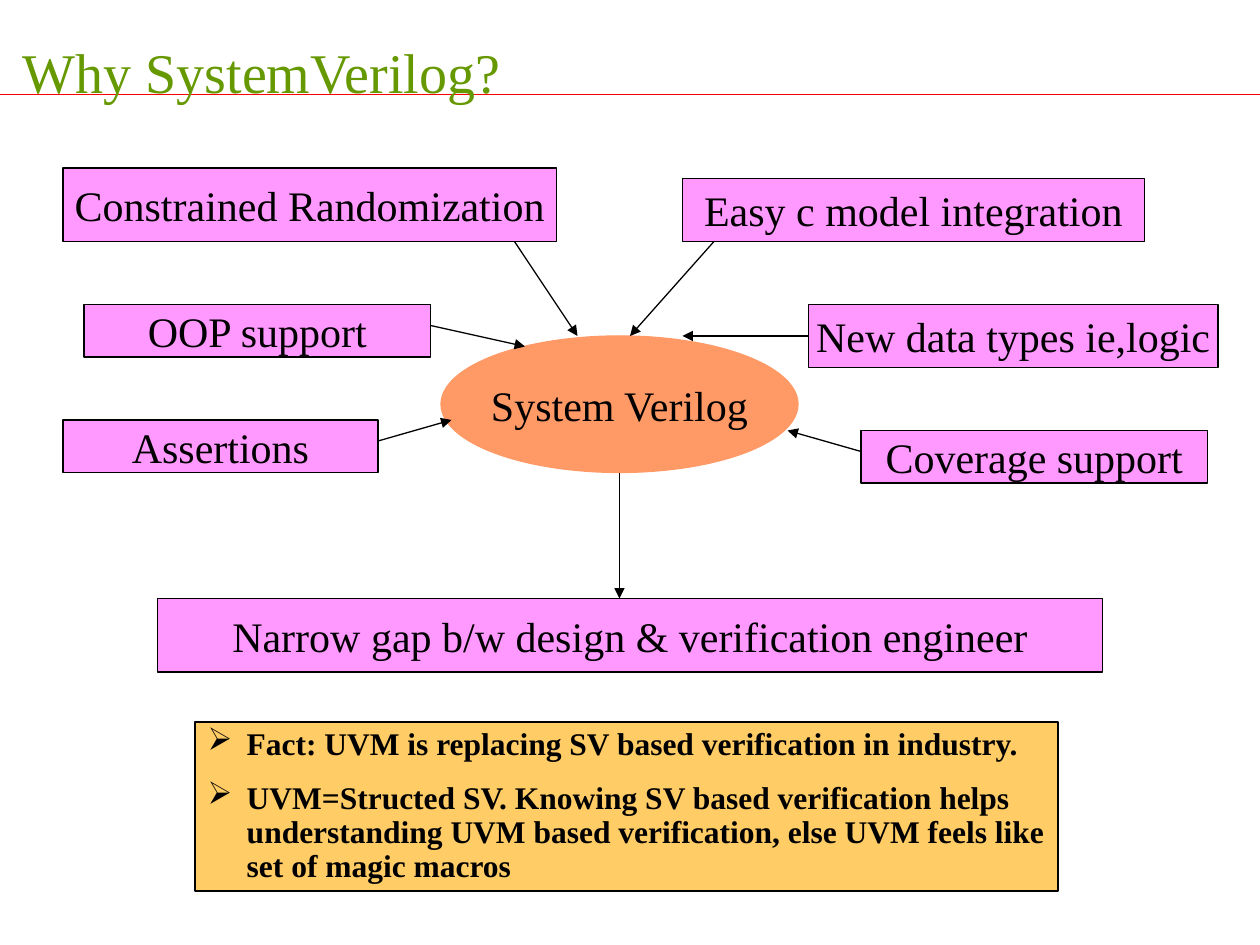
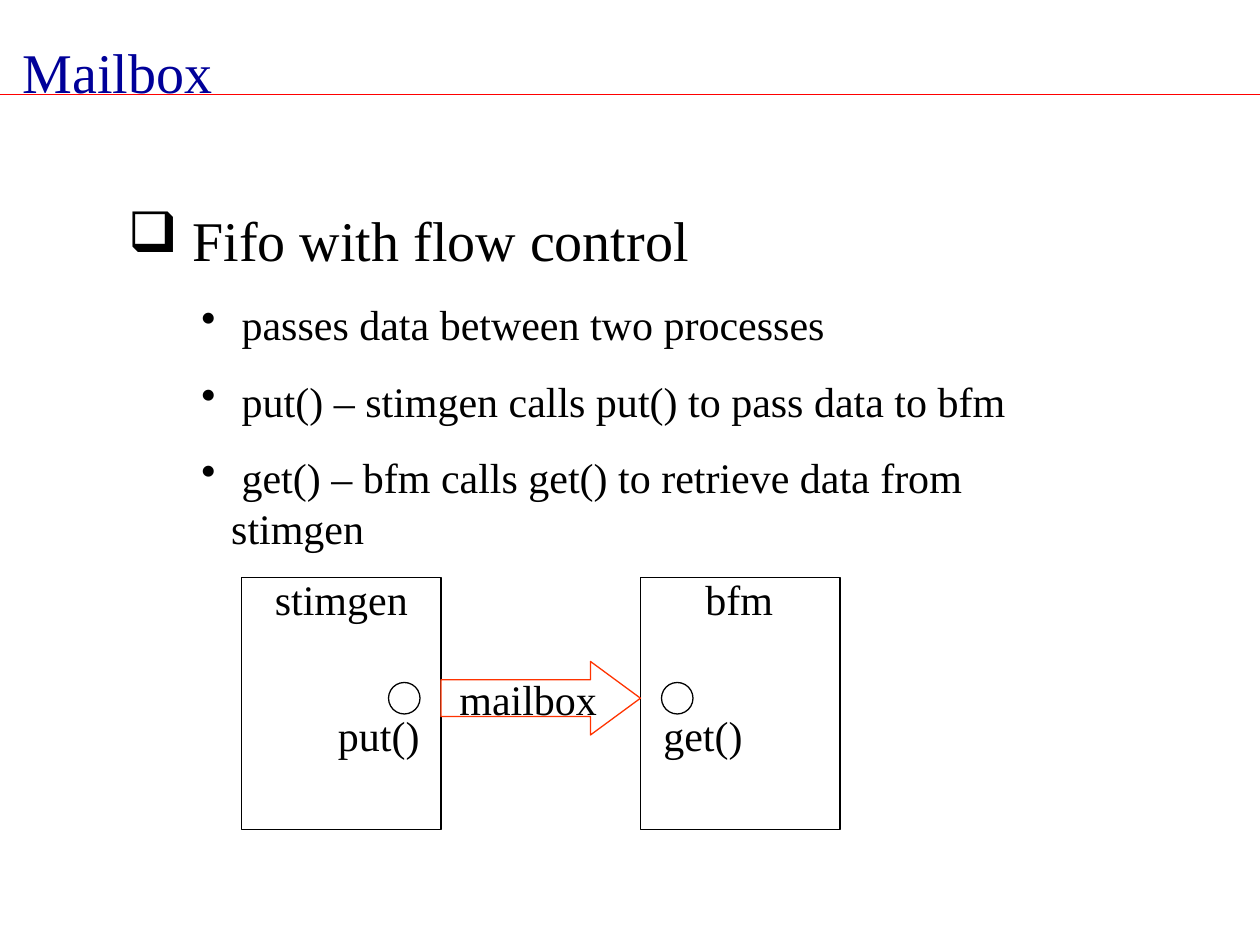
import lxml.etree
import pptx
import pptx.dml.color
import pptx.enum.shapes
import pptx.enum.text
import pptx.oxml.ns
import pptx.util

Pt = pptx.util.Pt
Shape = pptx.enum.shapes.MSO_SHAPE
Align = pptx.enum.text.PP_ALIGN
Anchor = pptx.enum.text.MSO_ANCHOR
qn = pptx.oxml.ns.qn

FONT = "Times New Roman"
BLACK, WHITE, RED = "000000", "FFFFFF", "FF0000"
PINK, ORANGE, GOLD = "FF99FF", "FF9966", "FFCC66"
GREEN, NAVY, FLAME = "669900", "000099", "FF3300"


def tint(color, code):
    color.rgb = pptx.dml.color.RGBColor.from_string(code)


def write(frame, lines, size=24, code=BLACK, bold=False, gap=0, align=Align.LEFT,
          wrap=True, mark=None, hang=0, pitch=None):
    """Fill a text frame, one paragraph per line, with optional bullets."""
    frame.text = "\n".join(lines)
    frame.word_wrap = wrap
    for index, para in enumerate(frame.paragraphs):
        if mark:
            props = para._p.get_or_add_pPr()
            props.set("marL", str(Pt(hang)))
            props.set("indent", str(-Pt(hang)))
            lxml.etree.SubElement(props, qn("a:buChar"), char=mark)
        para.alignment = align
        if pitch:
            para.line_spacing = pitch
        if index:
            para.space_before = Pt(gap)
        for run in para.runs:
            run.font.name = FONT
            run.font.size = Pt(size)
            run.font.bold = bold
            tint(run.font.color, code)


def label(slide, box, lines, **style):
    area = slide.shapes.add_textbox(*map(Pt, box))
    write(area.text_frame, lines, **style)


def block(slide, kind, box, fill, edge=BLACK, text=None, width=0.75):
    """Draw a preset shape with centred text on one line."""
    item = slide.shapes.add_shape(kind, *map(Pt, box))
    item.shadow.inherit = False
    item.fill.solid()
    tint(item.fill.fore_color, fill)
    tint(item.line.color, edge)
    item.line.width = Pt(width)
    if text:
        item.text_frame.vertical_anchor = Anchor.MIDDLE
        write(item.text_frame, [text], align=Align.CENTER, wrap=False)
    return item


def link(slide, start, end, code=BLACK, head=True):
    """Draw a straight line, with an arrowhead at its end if wanted."""
    line = slide.shapes.add_connector(
        pptx.enum.shapes.MSO_CONNECTOR.STRAIGHT, *map(Pt, start + end))
    tint(line.line.color, code)
    line.line.width = Pt(0.75)
    if head:
        lxml.etree.SubElement(line.line._get_or_add_ln(), qn("a:tailEnd"), type="triangle")
    lxml.etree.SubElement(line._element.spPr, qn("a:effectLst"))
    return line


def page(deck, title, code):
    """Add a blank slide with the red rule and its title."""
    slide = deck.slides.add_slide(deck.slide_layouts[6])
    link(slide, (0, 54), (720, 54), RED, head=False)
    label(slide, (6, 18, 534, 46), [title], size=32, code=code)
    return slide


def causes(slide, box):
    """Features that point at the hub, and the result below it."""
    left, top = box[:2]

    def at(x, y):
        return left + x, top + y

    block(slide, Shape.OVAL, at(216, 96) + (204, 78), ORANGE, ORANGE, "System Verilog")
    # text, box, arrow start, arrow end
    parts = [
        ("Assertions", (0, 144, 180, 30), (180, 156), (222, 144)),
        ("OOP support", (12, 78, 198, 30), (210, 90), (264, 102)),
        ("Constrained Randomization", (0, 0, 282, 42), (258, 42), (294, 96)),
        ("New data types ie,logic", (426, 78, 234, 36), (426, 96), (354, 96)),
        ("Coverage support", (456, 150, 198, 30), (456, 162), (414, 150)),
        ("Easy c model integration", (354, 6, 264, 36), (372, 42), (324, 96)),
    ]
    for text, (x, y, wide, high), start, end in parts:
        item = block(slide, Shape.RECTANGLE, at(x, y) + (wide, high), PINK, text=text)
        line = link(slide, at(*start), at(*end))
        if start == (x, y + high / 2):
            line.begin_connect(item, 1)

    # Result
    block(slide, Shape.RECTANGLE, at(54, 246) + (540, 42), PINK,
          text="Narrow gap b/w design & verification engineer")
    link(slide, at(318, 174), at(318, 246))


def facts(slide, box):
    """Framed note with arrow bullets."""
    note = block(slide, Shape.RECTANGLE, box, GOLD, width=1)
    note.text_frame.vertical_anchor = Anchor.TOP
    write(note.text_frame, [
        "Fact: UVM is replacing SV based verification in industry.",
        "UVM=Structed SV. Knowing SV based verification helps understanding "
        "UVM based verification, else UVM feels like set of magic macros",
    ], size=18, bold=True, gap=11.2, mark="➢", hang=22.3, pitch=0.9)


def points(slide, box):
    """Heading with its bullet list."""
    left, top, wide, high = box
    label(slide, (left, top, 534, 46), [" Fifo with flow control"],
          size=32, mark="❑", hang=29)
    label(slide, (left + 42, top + 53, wide - 42, high - 53), [
        " passes data between two processes",
        " put() – stimgen calls put() to pass data to bfm",
        " get() – bfm calls get() to retrieve data from stimgen",
    ], gap=15, mark="•", hang=17)


def flow(slide, box):
    """Two processes, a third of the box each, joined by the mailbox arrow."""
    left, top, wide, high = box
    third = wide / 3
    # name, column, name offset, port offset, call, call offset
    ends = [("stimgen", 0, 12, 84, "put()", 48),
            ("bfm", 2, 30, 12, "get()", 6)]
    for name, column, shift, port, call, inset in ends:
        x = left + column * third
        block(slide, Shape.RECTANGLE, (x, top, third, high), WHITE)
        block(slide, Shape.OVAL, (x + port, top + 60, 18, 18), WHITE)
        label(slide, (x + shift, top - 6, 108, 36), [name])
        label(slide, (x + inset, top + 72, 108, 36), [call])

    # Mailbox
    arrow = block(slide, Shape.RIGHT_ARROW, (left + third, top + 48, third, 42),
                  WHITE, FLAME, "mailbox")
    arrow.adjustments[0] = 0.5
    arrow.adjustments[1] = 0.68


def main():
    deck = pptx.Presentation()
    deck.slide_width, deck.slide_height = Pt(720), Pt(540)

    why = page(deck, "Why SystemVerilog?", GREEN)
    causes(why, (36, 96, 660, 288))
    facts(why, (111.6, 412.6, 493.2, 96.5))

    mail = page(deck, "Mailbox", NAVY)
    points(mail, (66, 114, 564, 206))
    flow(mail, (138, 330, 342, 144))

    deck.save("out.pptx")


if __name__ == "__main__":
    main()
